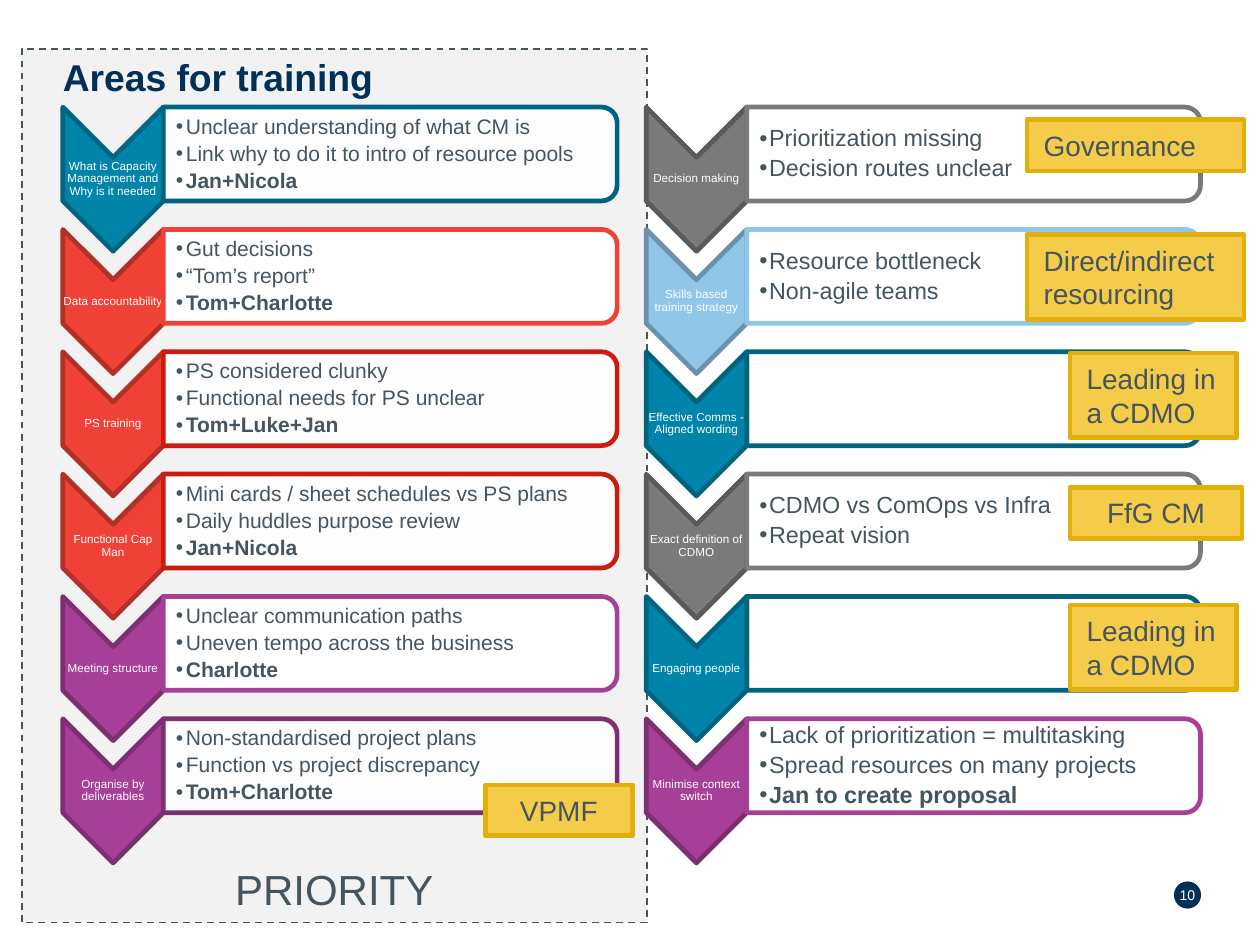
from lxml import etree
from pptx import Presentation
from pptx.dml.color import RGBColor
from pptx.enum.dml import MSO_LINE
from pptx.enum.shapes import MSO_SHAPE
from pptx.enum.text import MSO_ANCHOR, MSO_AUTO_SIZE, PP_ALIGN
from pptx.oxml.ns import qn
from pptx.util import Cm, Pt

RECT, OVAL = MSO_SHAPE.RECTANGLE, MSO_SHAPE.OVAL
ARROW, CARD = MSO_SHAPE.CHEVRON, MSO_SHAPE.ROUND_2_SAME_RECTANGLE
LEFT, MID = PP_ALIGN.LEFT, PP_ALIGN.CENTER
CENTRE, BOTTOM = MSO_ANCHOR.MIDDLE, MSO_ANCHOR.BOTTOM
FIXED, DASH = MSO_AUTO_SIZE.NONE, MSO_LINE.DASH

WHITE = RGBColor(0xFF, 0xFF, 0xFF)
PALE = RGBColor(0xF2, 0xF2, 0xF2)
SLATE = RGBColor(0x45, 0x55, 0x60)
NAVY = RGBColor(0x00, 0x30, 0x57)
TEAL = RGBColor(0x00, 0x84, 0xA9)
TIDE = RGBColor(0x00, 0x63, 0x7F)
CORAL = RGBColor(0xEF, 0x41, 0x35)
RUST = RGBColor(0xB1, 0x30, 0x27)
CRIMSON = RGBColor(0xCB, 0x1C, 0x10)
PURPLE = RGBColor(0xA5, 0x3F, 0x97)
PLUM = RGBColor(0x7C, 0x2F, 0x71)
GREY = RGBColor(0x7A, 0x7A, 0x7A)
SMOKE = RGBColor(0x5A, 0x5A, 0x5A)
SKY = RGBColor(0x90, 0xC6, 0xE7)
STEEL = RGBColor(0x6B, 0x92, 0xAB)
GOLD = RGBColor(0xF5, 0xCC, 0x49)
AMBER = RGBColor(0xE2, 0xAF, 0x0C)
SHEER = (TIDE, CRIMSON, PLUM)

TOP, PITCH = 1.62, 1.85
ARROW_W, ARROW_H = 1.52, 2.18
CARD_W, CARD_H = 6.86, 1.42

NEEDS = [
    ("What is Capacity Management and Why is it needed", TEAL, TIDE, TIDE,
     ["Unclear understanding of what CM is",
      "Link why to do it to intro of resource pools", "Jan+Nicola"]),
    ("Data accountability", CORAL, RUST, CORAL,
     ["Gut decisions", "“Tom’s report”", "Tom+Charlotte"]),
    ("PS training", CORAL, RUST, CRIMSON,
     ["PS considered clunky", "Functional needs for PS unclear", "Tom+Luke+Jan"]),
    ("Functional Cap Man", CORAL, RUST, CRIMSON,
     ["Mini cards / sheet schedules vs PS plans",
      "Daily huddles purpose review", "Jan+Nicola"]),
    ("Meeting structure", PURPLE, PLUM, PURPLE,
     ["Unclear communication paths", "Uneven tempo across the business", "Charlotte"]),
    ("Organise by deliverables", PURPLE, PLUM, PLUM,
     ["Non-standardised project plans", "Function vs project discrepancy",
      "Tom+Charlotte"]),
]
OTHERS = [
    ("Decision making", GREY, SMOKE, GREY,
     ["Prioritization missing", "Decision routes unclear"]),
    ("Skills based training strategy", SKY, STEEL, SKY,
     ["Resource bottleneck", "Non-agile teams"]),
    ("Effective Comms - Aligned wording", TEAL, TIDE, TIDE, []),
    ("Exact definition of CDMO", GREY, SMOKE, GREY,
     ["CDMO vs ComOps vs Infra", "Repeat vision"]),
    ("Engaging people", TEAL, TIDE, TIDE, []),
    ("Minimise context switch", PURPLE, PLUM, PURPLE,
     ["Lack of prioritization = multitasking", "Spread resources on many projects",
      "Jan to create proposal"]),
]
TAGS = [
    ("VPMF", MID, 7.34, 11.87, 2.22, 0.77),
    ("FfG CM", MID, 16.18, 7.37, 2.6, 0.77),
    ("Leading in a CDMO", LEFT, 16.18, 5.34, 2.52, 1.28),
    ("Direct/indirect resourcing", LEFT, 15.53, 3.55, 3.28, 1.28),
    ("Governance", LEFT, 15.53, 1.81, 3.28, 0.78),
    ("Leading in a CDMO", LEFT, 16.18, 9.15, 2.52, 1.28),
]


def assign(item, values):
    for name, value in values.items():
        setattr(item, name, value)


def place(shape, x, y, w, h):
    assign(shape, dict(left=Cm(x), top=Cm(y), width=Cm(w), height=Cm(h)))


def setup(shape, anchor=CENTRE, pads=(0, 0, 0, 0)):
    frame = shape.text_frame
    assign(frame, dict(word_wrap=True, auto_size=FIXED, vertical_anchor=anchor))
    sides = ("margin_left", "margin_top", "margin_right", "margin_bottom")
    assign(frame, dict(zip(sides, map(Cm, pads))))
    return frame


def write(para, text, size, color, bold=False, **form):
    assign(para, dict(space_before=Pt(0), **form))
    run = para.add_run()
    run.text = text
    assign(run.font, dict(name="Arial", size=Pt(size), bold=bold))
    run.font.color.rgb = color


def draw(slide, kind, x, y, w, h, fill, edge=None, width=2):
    shape = slide.shapes.add_shape(kind, Cm(x), Cm(y), Cm(w), Cm(h))
    shape.shadow.inherit = False
    if fill is None:
        shape.fill.background()
    else:
        shape.fill.solid()
        shape.fill.fore_color.rgb = fill
    if edge is None:
        shape.line.fill.background()
    else:
        shape.line.color.rgb = edge
        shape.line.width = Pt(width)
    return shape


def turn(slide, kind, x, y, w, h, fill, edge):
    shape = draw(slide, kind, x + (w - h) / 2, y + (h - w) / 2, h, w, fill, edge)
    shape.rotation = 90
    return shape


def fade(shape, share):
    tint = shape.fill._xPr.find(qn("a:solidFill"))[0]
    etree.SubElement(tint, qn("a:alpha")).set("val", str(share * 1000))


def clone(slide, holder, *spot):
    slide.shapes.clone_placeholder(holder)
    shape = slide.shapes[-1]
    place(shape, *spot)
    return shape


def add_list(slide, holder, lines, size, *spot):
    frame = setup(clone(slide, holder, *spot), pads=(0.19, 0.03, 0.03, 0.03))
    for i, line in enumerate(lines):
        para = frame.paragraphs[0] if i == 0 else frame.add_paragraph()
        props = para._p.get_or_add_pPr()
        props.set("marL", str(Cm(0.15)))
        props.set("indent", str(-Cm(0.15)))
        etree.SubElement(props, qn("a:buChar")).set("char", "•")
        write(para, line, size, SLATE, bold=i == 2, level=1, alignment=LEFT,
              line_spacing=0.9, space_after=Pt(size * 0.2))


def add_row(slide, holder, x, y, size, label, fill, rim, edge, lines):
    turn(slide, ARROW, x, y, ARROW_W, ARROW_H, fill, rim)
    box = slide.shapes.add_textbox(Cm(x), Cm(y + 0.76), Cm(ARROW_W), Cm(0.66))
    write(setup(box).paragraphs[0], label, 5, WHITE, alignment=MID, line_spacing=0.9)
    x += ARROW_W
    card = turn(slide, CARD, x, y, CARD_W, CARD_H, WHITE if lines else None, edge)
    if lines:
        if edge in SHEER:
            fade(card, 90)
        add_list(slide, holder, lines, size, x, y + 0.08, CARD_W - 0.08, 1.27)


def add_panel(slide):
    panel = draw(slide, RECT, 0.33, 0.74, 9.45, 13.21, PALE, SLATE, 0.75)
    panel.line.dash_style = DASH
    frame = setup(panel, BOTTOM, (0.25, 0.13, 0.25, 0.13))
    write(frame.paragraphs[0], "PRIORITY", 18, SLATE, alignment=MID)


def add_tag(slide, text, align, *spot):
    frame = setup(draw(slide, RECT, *spot, GOLD, AMBER), pads=(0.25, 0.13, 0.25, 0.13))
    write(frame.paragraphs[0], text, 12, SLATE, alignment=align)


def main():
    deck = Presentation()
    assign(deck, dict(slide_width=Cm(19.05), slide_height=Cm(14.29)))
    layout = deck.slide_layouts[1]
    slide = deck.slides.add_slide(layout)
    for spare in list(slide.placeholders):
        spare.element.getparent().remove(spare.element)
    head, body = list(layout.placeholders)[:2]

    badge = draw(slide, OVAL, 17.75, 13.33, 0.41, 0.41, NAVY)
    frame = setup(badge)
    frame.word_wrap = False
    write(frame.paragraphs[0], "10", 6, WHITE, alignment=MID)
    add_panel(slide)
    title = setup(clone(slide, head, 0.95, 0.82, 17.2, 0.69))
    write(title.paragraphs[0], "Areas for training", 16, NAVY, True, alignment=LEFT)
    for x, size, rows in ((0.95, 9, NEEDS), (9.77, 10, OTHERS)):
        for i, row in enumerate(rows):
            add_row(slide, body, x, TOP + i * PITCH, size, *row)
    for tag in TAGS:
        add_tag(slide, *tag)
    deck.save("out.pptx")


if __name__ == "__main__":
    main()
